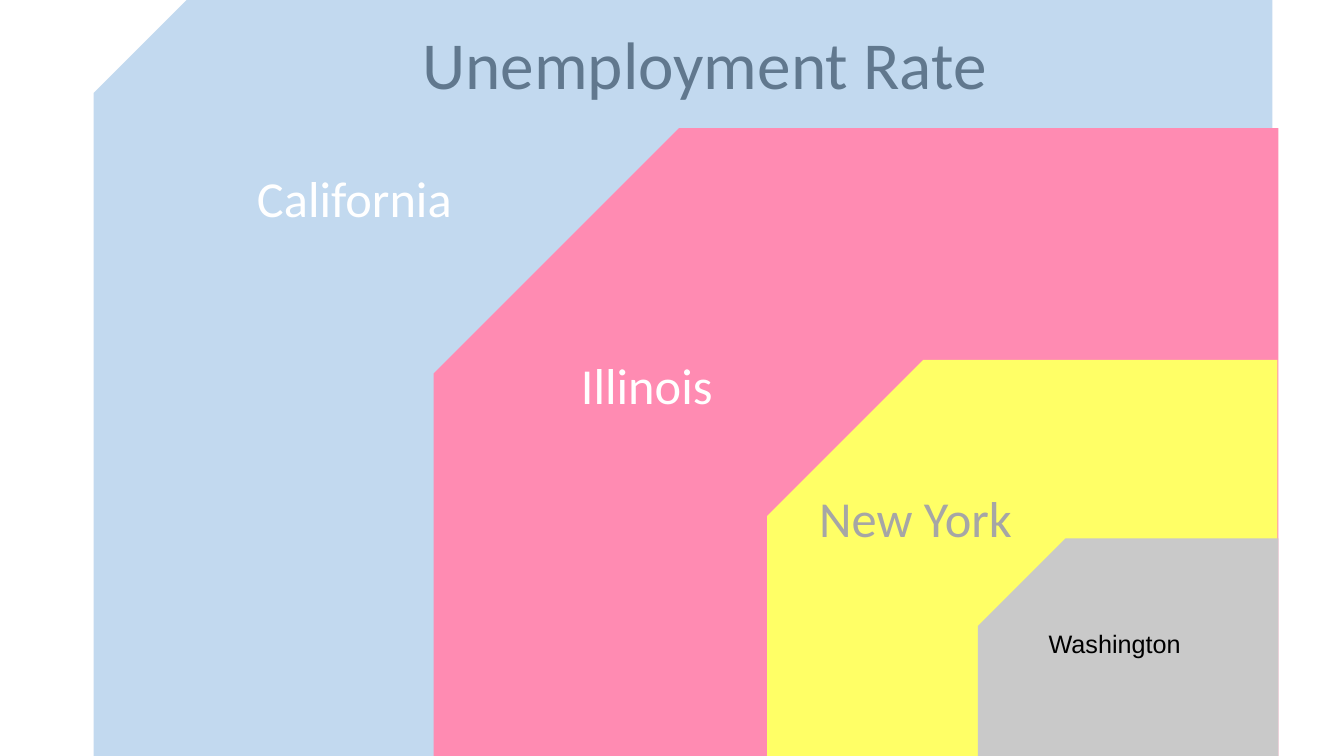
from lxml.etree import SubElement
from pptx import Presentation
from pptx.dml.color import RGBColor
from pptx.enum.shapes import MSO_SHAPE
from pptx.enum.text import MSO_ANCHOR, PP_ALIGN
from pptx.oxml.ns import qn
from pptx.util import Inches, Pt

TITLE = ("Unemployment Rate", (4.09, 0.17, 5.89, 0.91), 48, "Calibri", "000000")

# (left, top, width, height), snip ratio, fill, opacity in percent
PANELS = [
    ((0.93, -0.03, 11.69, 7.55), 0.126, "9DC3E6", 62),
    ((4.3, 1.27, 8.38, 6.31), 0.386, "FF8BB2", 100),
    ((7.61, 3.57, 5.06, 4.01), 0.386, "FFFF66", 100),
    ((9.7, 5.34, 2.98, 2.25), 0.386, "C9C9C9", 100),
]

# text, (left, top, width, height), size, font, colour
LABELS = [
    ("California", (2.34, 1.61, 2.35, 0.71), 36, "Calibri", "FFFFFF"),
    ("Illinois", (5.54, 3.46, 1.75, 0.71), 36, "Calibri", "FFFFFF"),
    ("Washington", (10.18, 6.18, 1.75, 0.4), 18, "Arial", "000000"),
    ("New York", (7.84, 4.78, 2.48, 0.71), 36, "Calibri", "A6A6A6"),
]


def color(hex_string):
    return RGBColor.from_string(hex_string)


def inches(area):
    return [Inches(length) for length in area]


def write(box, text, size, font, hex_string, align):
    frame = box.text_frame
    frame.text = text
    frame.word_wrap = True
    frame.vertical_anchor = MSO_ANCHOR.TOP
    para = frame.paragraphs[0]
    para.alignment = align
    span = para.runs[0]
    span.font.size = Pt(size)
    span.font.name = font
    span.font.color.rgb = color(hex_string)


def add_panel(page, area, snip, fill, opacity):
    """Add a rectangle whose top left corner is cut off."""
    panel = page.shapes.add_shape(MSO_SHAPE.SNIP_1_RECTANGLE, *inches(area))
    panel.adjustments[0] = snip
    panel.shadow.inherit = False
    panel.line.fill.background()
    panel.fill.solid()
    panel.fill.fore_color.rgb = color(fill)
    properties = panel._element.spPr
    properties.find(qn("a:xfrm")).set("flipH", "1")
    if opacity < 100:
        fill_color = properties.find(qn("a:solidFill")).find(qn("a:srgbClr"))
        SubElement(fill_color, qn("a:alpha")).set("val", str(opacity * 1000))


def main():
    deck = Presentation()
    deck.slide_width, deck.slide_height = Inches(13.33), Inches(7.5)
    page = deck.slides.add_slide(deck.slide_layouts[5])

    text, area, *style = TITLE
    title = page.shapes.title
    title.left, title.top, title.width, title.height = inches(area)
    write(title, text, *style, PP_ALIGN.LEFT)

    for panel in PANELS:
        add_panel(page, *panel)
    for text, area, *style in LABELS:
        label = page.shapes.add_textbox(*inches(area))
        write(label, text, *style, PP_ALIGN.CENTER)

    deck.save("out.pptx")


if __name__ == "__main__":
    main()
